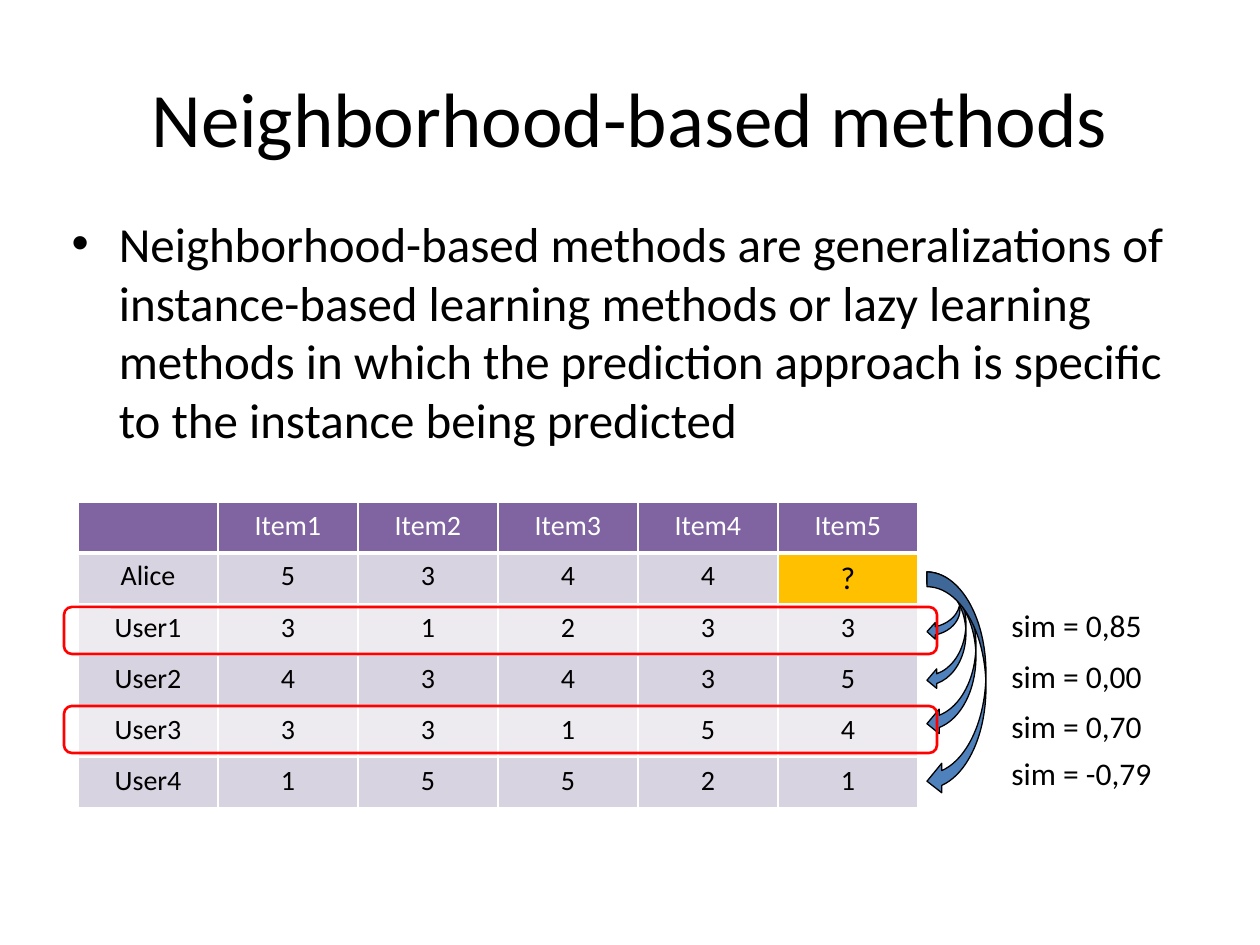
from typing import NamedTuple

from lxml import etree
from pptx import Presentation
from pptx.dml.color import RGBColor
from pptx.enum.shapes import MSO_SHAPE
from pptx.enum.text import MSO_ANCHOR, MSO_AUTO_SIZE, PP_ALIGN
from pptx.oxml.ns import qn
from pptx.util import Emu, Pt

ARROW = MSO_SHAPE.CURVED_LEFT_ARROW
ROUNDED = MSO_SHAPE.ROUNDED_RECTANGLE
TOP, MIDDLE = MSO_ANCHOR.TOP, MSO_ANCHOR.MIDDLE
CENTER, LEFT = PP_ALIGN.CENTER, PP_ALIGN.LEFT
NO_FIT, FIT_SHAPE = MSO_AUTO_SIZE.NONE, MSO_AUTO_SIZE.SHAPE_TO_FIT_TEXT

PX_PER_INCH = 126
FONT = "Calibri"
BLACK, WHITE, RED = "000000", "FFFFFF", "FF0000"
PURPLE, BAND_DARK, BAND_LIGHT = "8064A2", "D8D3E0", "EDEAF0"
AMBER, BLUE = "FFC000", "4F81BD"

TABLE_LEFT, TABLE_TOP, COL_WIDTH, ROW_HEIGHT = 78, 502, 140, 51
ARROW_LEFT, LABEL_LEFT, LABEL_HEIGHT = 927, 999, 50

RATINGS = [
    ["", "Item1", "Item2", "Item3", "Item4", "Item5"],
    ["Alice", "5", "3", "4", "4", "?"],
    ["User1", "3", "1", "2", "3", "3"],
    ["User2", "4", "3", "4", "3", "5"],
    ["User3", "3", "3", "1", "5", "4"],
    ["User4", "1", "5", "5", "2", "1"],
]


class Box(NamedTuple):
    left: int
    top: int
    width: int
    height: int

    def emu(self) -> list[Emu]:
        return [px(value) for value in self]


class Similarity(NamedTuple):
    text: str
    label_top: int
    label_width: int
    arrow: Box


SIMILARITIES = [
    Similarity("sim = 0,85", 600, 158, Box(ARROW_LEFT, 575, 33, 65)),
    Similarity("sim = 0,00", 651, 158, Box(ARROW_LEFT, 572, 39, 118)),
    Similarity("sim = 0,70", 701, 158, Box(ARROW_LEFT, 572, 49, 164)),
    Similarity("sim = -0,79", 748, 168, Box(ARROW_LEFT, 572, 59, 224)),
]
NEIGHBORS = [Box(64, 607, 873, 47), Box(64, 706, 873, 47)]


def px(value: int) -> Emu:
    return Emu(round(value * 914400 / PX_PER_INCH))


def color(value: str) -> RGBColor:
    return RGBColor.from_string(value)


def set_text(tf, text: str, size: int, text_color: str = BLACK, align=LEFT) -> None:
    tf.text = text
    p = tf.paragraphs[0]
    p.alignment = align
    p.space_before = Pt(0)
    p.font.size = Pt(size)
    for r in p.runs:
        r.font.name = FONT
        r.font.size = Pt(size)
        r.font.color.rgb = color(text_color)


def fill_placeholder(sp, box: Box, text: str, size: int, align, anchor) -> None:
    sp.left, sp.top, sp.width, sp.height = box.emu()
    tf = sp.text_frame
    tf.auto_size = NO_FIT
    tf.vertical_anchor = anchor
    set_text(tf, text, size, align=align)


def set_border(cell, side: str, width: float) -> None:
    ln = etree.SubElement(cell._tc.get_or_add_tcPr(), qn(f"a:ln{side}"), w=str(Pt(width)))
    fill = etree.SubElement(ln, qn("a:solidFill"))
    etree.SubElement(fill, qn("a:srgbClr"), val=WHITE)


def cell_fill(row: int, text: str) -> str:
    if row == 0:
        return PURPLE
    if text == "?":
        return AMBER
    return BAND_DARK if row % 2 else BAND_LIGHT


def add_ratings(shapes) -> None:
    rows, cols = len(RATINGS), len(RATINGS[0])
    box = Box(TABLE_LEFT, TABLE_TOP, cols * COL_WIDTH, rows * ROW_HEIGHT)
    table = shapes.add_table(rows, cols, *box.emu()).table
    for column in table.columns:
        column.width = px(COL_WIDTH)
    for i, values in enumerate(RATINGS):
        table.rows[i].height = px(ROW_HEIGHT)
        for j, text in enumerate(values):
            cell = table.cell(i, j)
            # The rule under the header is thicker than the rest
            widths = {"L": 1, "R": 1, "T": 3 if i == 1 else 1, "B": 3 if i == 0 else 1}
            for side, width in widths.items():
                set_border(cell, side, width)
            cell.fill.solid()
            cell.fill.fore_color.rgb = color(cell_fill(i, text))
            set_text(cell.text_frame, text, 18 if text == "?" else 16,
                     BLACK if i else WHITE, CENTER)


def add_outlined(shapes, kind, box: Box, line: str, width: float, fill: str = ""):
    sp = shapes.add_shape(kind, *box.emu())
    sp.shadow.inherit = False
    sp.line.color.rgb = color(line)
    sp.line.width = Pt(width)
    if fill:
        sp.fill.solid()
        sp.fill.fore_color.rgb = color(fill)
    else:
        sp.fill.background()


def add_similarity(shapes, item: Similarity) -> None:
    group = shapes.add_group_shape()
    box = Box(LABEL_LEFT, item.label_top, item.label_width, LABEL_HEIGHT)
    tf = group.shapes.add_textbox(*box.emu()).text_frame
    tf.word_wrap = False
    tf.auto_size = FIT_SHAPE
    set_text(tf, item.text, 18)
    add_outlined(group.shapes, ARROW, item.arrow, BLACK, 0.75, BLUE)


def main() -> None:
    prs = Presentation()
    prs.slide_width, prs.slide_height = px(1260), px(945)
    s = prs.slides.add_slide(prs.slide_layouts[1])

    # Title and definition
    fill_placeholder(s.shapes.title, Box(63, 38, 1134, 158),
                     "Neighborhood-based methods", 44, CENTER, MIDDLE)
    fill_placeholder(
        s.placeholders[1], Box(59, 207, 1134, 624),
        "Neighborhood-based methods are generalizations of instance-based "
        "learning methods or lazy learning methods in which the prediction "
        "approach is specific to the instance being predicted",
        28, LEFT, TOP)

    # Ratings table
    add_ratings(s.shapes)

    # Similarity of Alice to each user
    for item in SIMILARITIES:
        add_similarity(s.shapes, item)

    # Frames around the nearest neighbors
    for box in NEIGHBORS:
        add_outlined(s.shapes, ROUNDED, box, RED, 1.5)

    prs.save("out.pptx")


if __name__ == "__main__":
    main()
